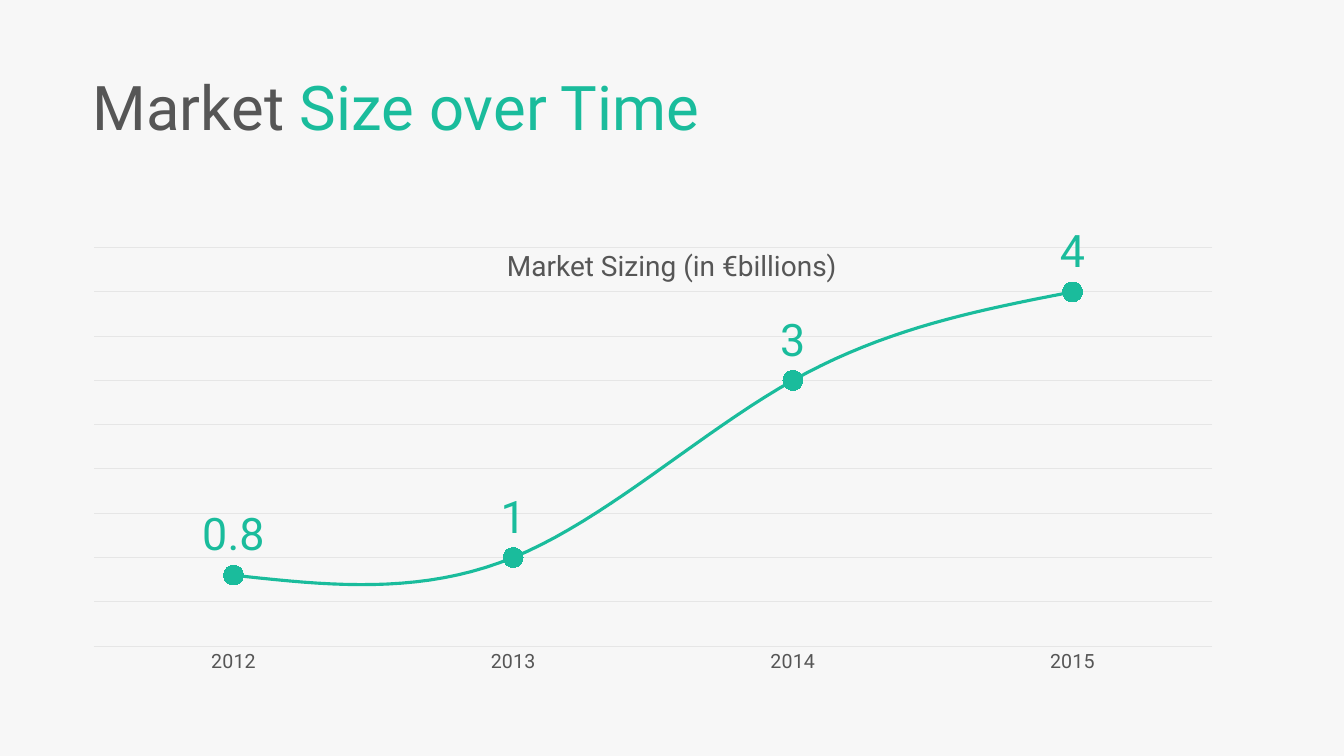
from lxml import etree
from pptx import Presentation
from pptx import util as u
from pptx.chart.data import CategoryChartData
from pptx.dml.color import RGBColor
from pptx.enum import chart as charts, text
from pptx.oxml import ns

COLORS = {"background": "F7F7F7", "text": "565656", "accent": "1ABC9C", "grid": "E6E6E6"}
FONT = "Roboto"


class SlideBuilder:
    """Holds the style and the current slide."""

    def __init__(self, presentation):
        self.slide = presentation.slides.add_slide(presentation.slide_layouts[5])
        fill = self.slide.background.fill
        fill.solid()
        fill.fore_color.rgb = self.color("background")

    def color(self, name):
        return RGBColor.from_string(COLORS[name])

    def set_font(self, font, size, color):
        font.name = FONT
        font.size = u.Pt(size)
        font.color.rgb = self.color(color)

    def set_line(self, line, color, width):
        line.color.rgb = self.color(color)
        line.width = u.Pt(width)

    def set_fill(self, fill, color):
        fill.solid()
        fill.fore_color.rgb = self.color(color)

    def title(self, parts, left, top, width, height, size):
        shape = self.slide.shapes.title
        shape.left, shape.top, shape.width, shape.height = map(u.Pt, (left, top, width, height))
        frame = shape.text_frame
        frame.margin_left = 0
        frame.vertical_anchor = text.MSO_ANCHOR.TOP
        frame.auto_size = text.MSO_AUTO_SIZE.SHAPE_TO_FIT_TEXT
        paragraph = frame.paragraphs[0]
        paragraph.alignment = text.PP_ALIGN.LEFT
        paragraph.line_spacing = 0.9
        for words, color in parts:
            run = paragraph.add_run()
            run.text = words
            self.set_font(run.font, size, color)

    def caption(self, words, left, top, width, height, size):
        shape = self.slide.shapes.add_textbox(*map(u.Pt, (left, top, width, height)))
        frame = shape.text_frame
        frame.word_wrap = True
        frame.auto_size = text.MSO_AUTO_SIZE.SHAPE_TO_FIT_TEXT
        paragraph = frame.paragraphs[0]
        paragraph.text = words
        paragraph.alignment = text.PP_ALIGN.CENTER
        self.set_font(paragraph.font, size, "text")

    def line_chart(self, categories, values, left, top, width, height):
        data = CategoryChartData()
        data.categories = categories
        data.add_series("Series 1", values)
        frame = self.slide.shapes.add_chart(
            charts.XL_CHART_TYPE.LINE_MARKERS, *map(u.Pt, (left, top, width, height)), data)
        chart = frame.chart
        chart.has_title = False
        chart.has_legend = False
        self.set_font(chart.font, 10, "text")
        chart.plots[0].vary_by_categories = False
        self.style_axes(chart)
        self.style_series(chart.plots[0].series[0])
        self.place_plot(chart, x=0.02, y=0.112, w=0.965, h=0.753)

    def style_axes(self, chart):
        years = chart.category_axis
        years.major_tick_mark = charts.XL_TICK_MARK.NONE
        years.has_major_gridlines = False
        self.set_font(years.tick_labels.font, 14, "text")
        self.set_line(years.format.line, "grid", 0.75)
        amounts = chart.value_axis
        amounts.minimum_scale, amounts.maximum_scale, amounts.major_unit = 0, 4.5, 0.5
        amounts.has_major_gridlines = True
        self.set_line(amounts.major_gridlines.format.line, "grid", 0.75)
        amounts.visible = False

    def style_series(self, series):
        series.smooth = True
        self.set_line(series.format.line, "accent", 2.25)
        marker = series.marker
        marker.style = charts.XL_MARKER_STYLE.CIRCLE
        marker.size = 14
        self.set_fill(marker.format.fill, "accent")
        marker.format.line.fill.background()
        labels = series.data_labels
        labels.show_value = True
        labels.position = charts.XL_LABEL_POSITION.ABOVE
        self.set_font(labels.font, 32, "accent")

    def place_plot(self, chart, **fractions):
        plot_area = chart.plots[0]._element.getparent()
        for old in plot_area.findall(ns.qn("c:layout")):
            plot_area.remove(old)
        layout = etree.Element(ns.qn("c:layout"))
        manual = etree.SubElement(layout, ns.qn("c:manualLayout"))
        settings = {"layoutTarget": "inner", "xMode": "edge", "yMode": "edge", **fractions}
        for name, value in settings.items():
            etree.SubElement(manual, ns.qn(f"c:{name}")).set("val", str(value))
        plot_area.insert(0, layout)


def main():
    presentation = Presentation()
    presentation.slide_width, presentation.slide_height = u.Pt(960), u.Pt(540)
    builder = SlideBuilder(presentation)

    # Chart with its caption
    builder.line_chart(["2012", "2013", "2014", "2015"], [0.8, 1, 3, 4], 50.4, 134.6, 828, 378)
    builder.caption("Market Sizing (in €billions)", 308, 174.2, 344, 31.7, size=20)

    # Two-colour title
    builder.title([("Market ", "text"), ("Size over Time", "accent")],
                  66.2, 51.8, 489.6, 55.4, size=44)

    presentation.save("out.pptx")


if __name__ == "__main__":
    main()
